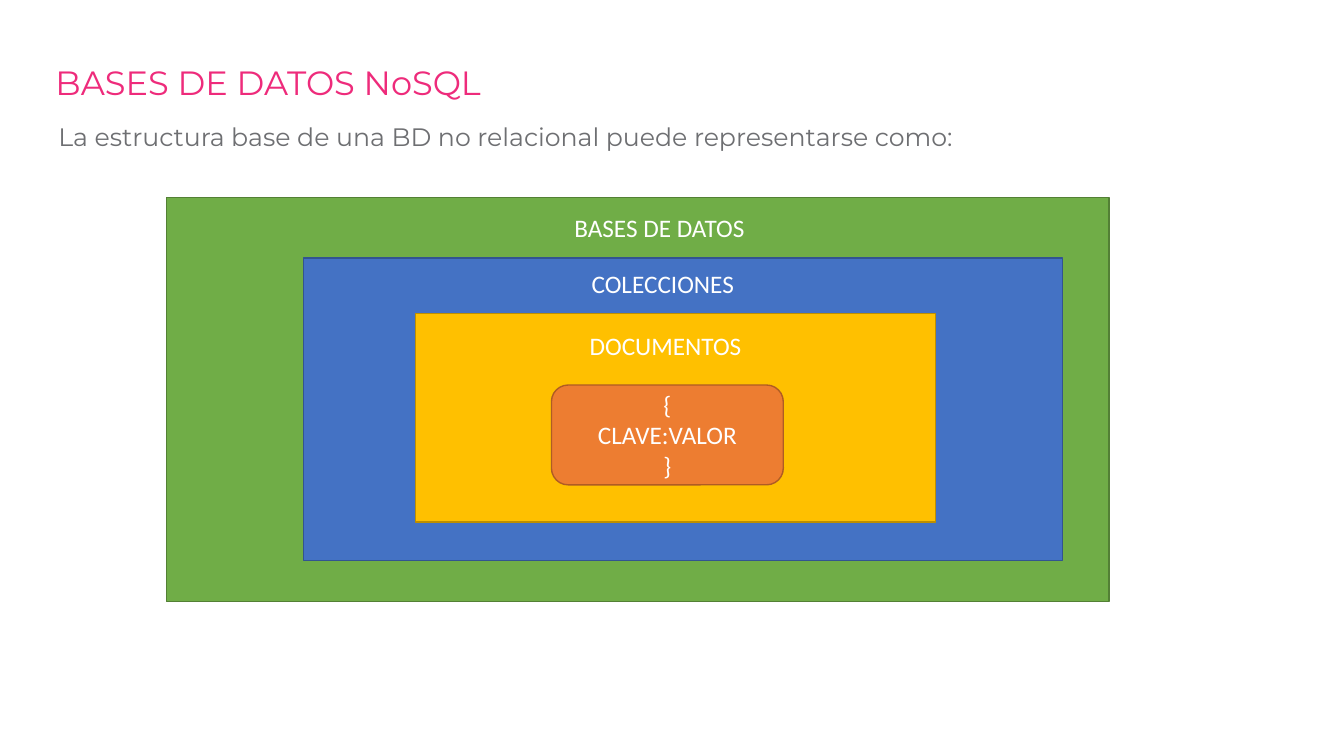
import pptx
import pptx.util
import pptx.dml.color
import pptx.enum.shapes
import pptx.enum.text

WIDTH = pptx.util.Inches(13.33)
HEIGHT = pptx.util.Inches(7.5)
COLORS = {
    "title": "EE2B7B",
    "intro": "6E6F72",
    "label": "FFFFFF",
    "database": "70AD47",
    "database_edge": "538035",
    "collection": "4472C4",
    "collection_edge": "325491",
    "document": "FFC000",
    "document_edge": "BD8E00",
    "pair": "ED7D31",
    "pair_edge": "AF5C24",
}
LABEL_SIZE = (19.43, 5.33)
SHAPES = pptx.enum.shapes.MSO_SHAPE
ALIGN = pptx.enum.text.PP_ALIGN
ANCHOR = pptx.enum.text.MSO_ANCHOR
AUTO_SIZE = pptx.enum.text.MSO_AUTO_SIZE


def color(name):
    return pptx.dml.color.RGBColor.from_string(COLORS[name])


def place(left, top, width, height):
    return (
        round(WIDTH * left / 100),
        round(HEIGHT * top / 100),
        round(WIDTH * width / 100),
        round(HEIGHT * height / 100),
    )


def write(frame, text, font, size, tint, align=ALIGN.LEFT, anchor=ANCHOR.TOP):
    frame.text = text
    frame.word_wrap = True
    frame.vertical_anchor = anchor
    for para in frame.paragraphs:
        para.alignment = align
        for span in para.runs:
            span.font.name = font
            span.font.size = pptx.util.Pt(size)
            span.font.color.rgb = color(tint)


def set_title(page, text, area):
    title = page.shapes.title
    title.left, title.top, title.width, title.height = place(*area)
    write(title.text_frame, text, "Montserrat", 24, "title")
    title.text_frame.auto_size = AUTO_SIZE.NONE
    title.text_frame.paragraphs[0].line_spacing = 0.9


def add_text(page, text, area, font, tint):
    box = page.shapes.add_textbox(*place(*area))
    write(box.text_frame, text, font, 18, tint)
    box.text_frame.auto_size = AUTO_SIZE.SHAPE_TO_FIT_TEXT


def add_box(page, kind, name, area):
    box = page.shapes.add_shape(kind, *place(*area))
    box.shadow.inherit = False
    box.fill.solid()
    box.fill.fore_color.rgb = color(name)
    box.line.color.rgb = color(name + "_edge")
    box.line.width = pptx.util.Pt(1)
    return box


def add_level(page, name, area, text, corner):
    add_box(page, SHAPES.RECTANGLE, name, area)
    add_text(page, text, corner + LABEL_SIZE, "Calibri", "label")


def main():
    deck = pptx.Presentation()
    deck.slide_width, deck.slide_height = WIDTH, HEIGHT
    page = deck.slides.add_slide(deck.slide_layouts.get_by_name("Title Only"))

    set_title(page, "BASES DE DATOS NoSQL", (3.38, 8.13, 86.25, 19.33))
    add_text(
        page,
        "La estructura base de una BD no relacional puede representarse como:",
        (3.6, 15.33, 78.38, 5.33),
        "Montserrat",
        "intro",
    )

    levels = [
        ("database", (12.38, 26.13, 70.13, 53.47), "BASES DE DATOS", (42, 27.47)),
        ("collection", (22.58, 34.13, 56.48, 40), "COLECCIONES", (43.28, 34.8)),
        ("document", (30.9, 41.47, 38.7, 27.6), "DOCUMENTOS", (43.13, 43.07)),
    ]
    for level in levels:
        add_level(page, *level)

    pair = add_box(page, SHAPES.ROUNDED_RECTANGLE, "pair", (41.03, 50.93, 17.25, 13.2))
    write(
        pair.text_frame, "{\nCLAVE:VALOR\n}", "Calibri", 18, "label",
        ALIGN.CENTER, ANCHOR.MIDDLE,
    )

    deck.save("out.pptx")


if __name__ == "__main__":
    main()
